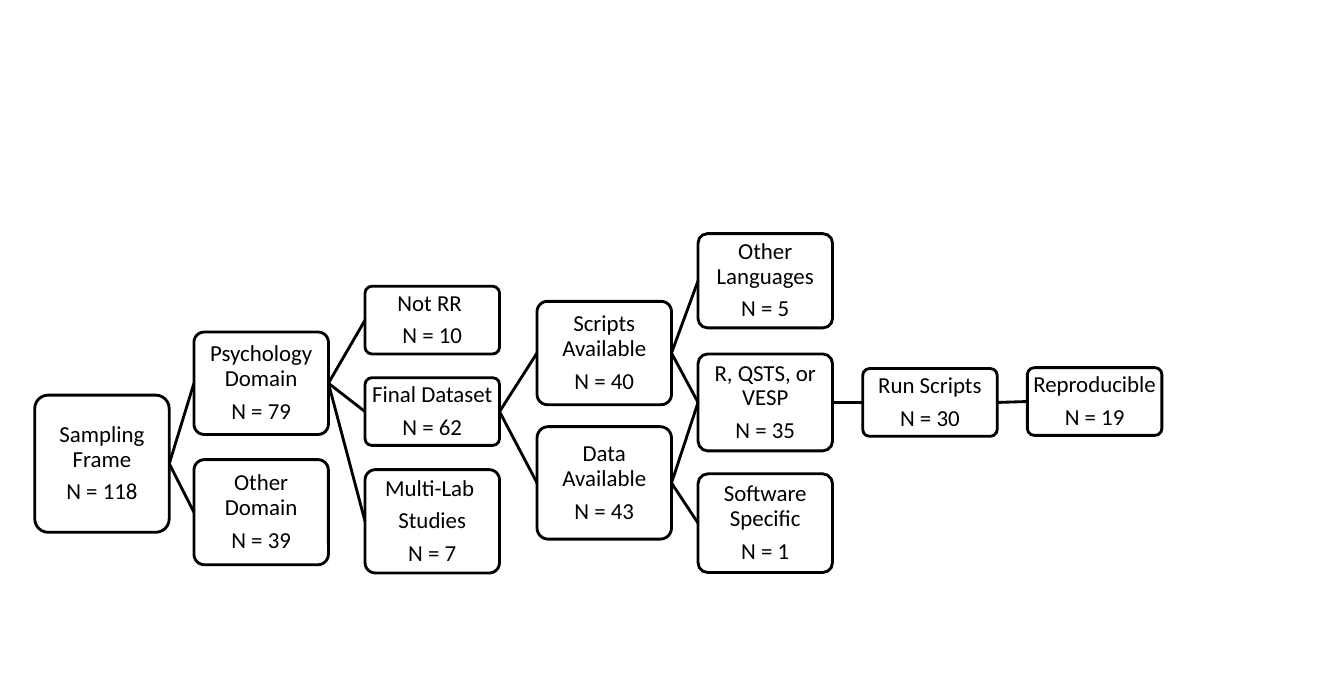
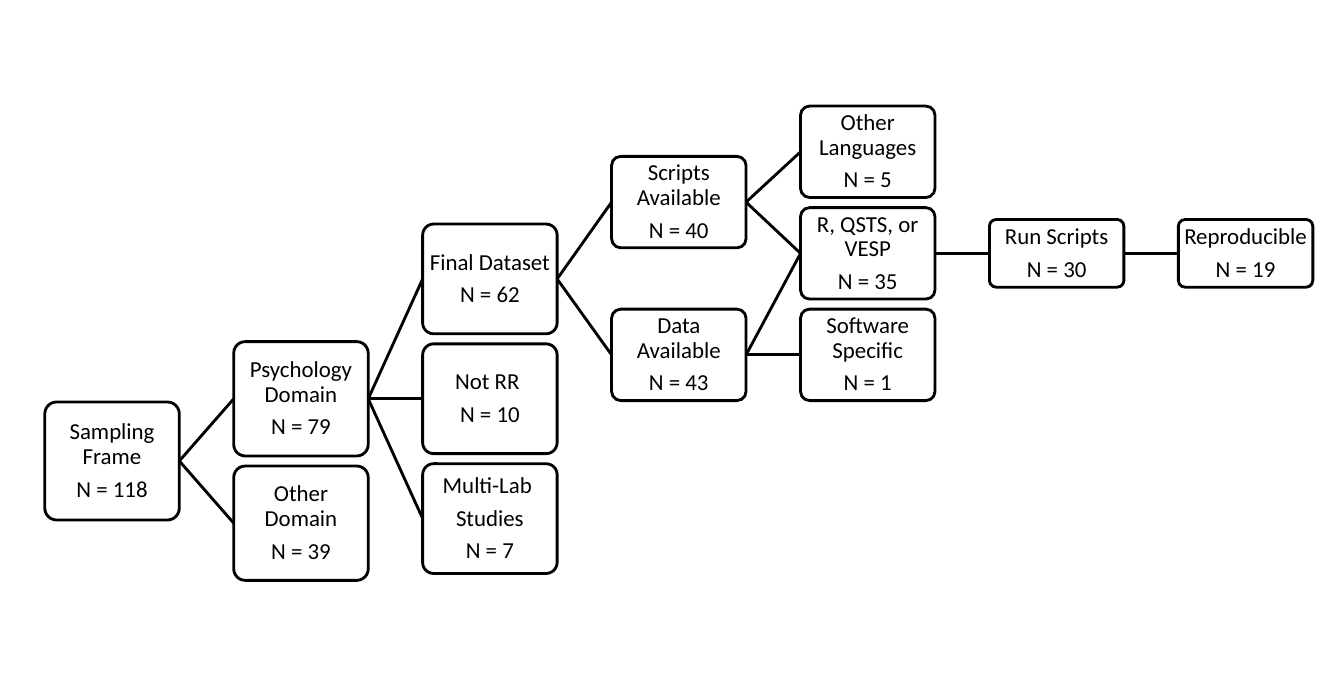
from lxml.etree import SubElement
from pptx import Presentation
from pptx.dml.color import RGBColor
from pptx.enum.shapes import MSO_CONNECTOR, MSO_SHAPE
from pptx.enum.text import MSO_ANCHOR, PP_ALIGN
from pptx.oxml.ns import qn
from pptx.util import Inches, Pt

BLACK = RGBColor(0x00, 0x00, 0x00)
WHITE = RGBColor(0xFF, 0xFF, 0xFF)
LEFT_SITE, RIGHT_SITE = 1, 3

# Wording of each box, one string per paragraph
LABELS = {
    "frame": ("Sampling Frame", "N = 118"),
    "psychology": ("Psychology Domain", "N = 79"),
    "other domain": ("Other Domain", "N = 39"),
    "not rr": ("Not RR ", "N = 10"),
    "final": ("Final Dataset", "N = 62"),
    "multi-lab": ("Multi-Lab ", "Studies", "N = 7"),
    "scripts": ("Scripts Available", "N = 40"),
    "data": ("Data Available", "N = 43"),
    "other languages": ("Other Languages", "N = 5"),
    "languages": ("R, QSTS, or VESP", "N = 35"),
    "specific": ("Software Specific", "N = 1"),
    "run": ("Run Scripts", "N = 30"),
    "reproducible": ("Reproducible", "N = 19"),
}

# Flow from left to right, the same on both slides
LINKS = {
    "frame": ("psychology", "other domain"),
    "psychology": ("not rr", "final", "multi-lab"),
    "final": ("scripts", "data"),
    "scripts": ("other languages", "languages"),
    "data": ("languages", "specific"),
    "languages": ("run",),
    "run": ("reproducible",),
}


class FlowDeck:
    font, size, line_width = "Calibri", Pt(18), Pt(2.25)
    box_width, inset = 1.47, Inches(0.01)

    def __init__(self, width, height):
        self.prs = Presentation()
        self.prs.slide_width, self.prs.slide_height = Inches(width), Inches(height)
        self.slide = None

    def box(self, paragraphs, left, middle, height):
        sp = self.slide.shapes.add_shape(
            MSO_SHAPE.ROUNDED_RECTANGLE, Inches(left), Inches(middle - height / 2),
            Inches(self.box_width), Inches(height))
        sp.adjustments[0] = 0.1
        sp.shadow.inherit = False
        sp.fill.solid()
        sp.fill.fore_color.rgb = WHITE
        sp.line.color.rgb = BLACK
        sp.line.width = self.line_width
        tf = sp.text_frame
        tf.word_wrap = True
        tf.vertical_anchor = MSO_ANCHOR.MIDDLE
        tf.margin_left = tf.margin_right = tf.margin_top = tf.margin_bottom = self.inset
        tf.text = "\n".join(paragraphs)
        for p in tf.paragraphs:
            p.alignment = PP_ALIGN.CENTER
            p.line_spacing = 0.9
            p.space_after = Pt(6.3)
            p.font.name, p.font.size = self.font, self.size
            p.font.color.rgb = BLACK
        return sp

    def link(self, source, target):
        line = self.slide.shapes.add_connector(MSO_CONNECTOR.STRAIGHT, 0, 0, 0, 0)
        line.begin_connect(source, RIGHT_SITE)
        line.end_connect(target, LEFT_SITE)
        line.line.color.rgb = BLACK
        line.line.width = self.line_width
        SubElement(line._element.spPr, qn("a:effectLst"))

    def flow(self, lefts, columns):
        """Draw columns of (name, middle, height) boxes, then link them."""
        self.slide = self.prs.slides.add_slide(self.prs.slide_layouts[6])
        boxes = {name: self.box(LABELS[name], left, middle, height)
                 for left, column in zip(lefts, columns)
                 for name, middle, height in column}
        for source, targets in LINKS.items():
            for target in targets:
                self.link(boxes[source], boxes[target])


def stack(names, first_middle, height, pitch=0):
    """Equal boxes, evenly spaced down one column."""
    return [(name, first_middle + i * pitch, height) for i, name in enumerate(names)]


deck = FlowDeck(14.69, 7.5)

# Slide 1: compact flow
deck.flow((0.38, 2.12, 3.99, 5.87, 7.63, 9.43, 11.23), [
    [("frame", 5.07, 1.5)],
    [("psychology", 4.19, 1.12), ("other domain", 5.6, 1.15)],
    [("not rr", 3.5, 0.74), ("final", 4.5, 0.74), ("multi-lab", 5.7, 1.13)],
    [("scripts", 3.86, 1.13), ("data", 5.28, 1.23)],
    [("other languages", 3.07, 1.03), ("languages", 4.4, 1.06), ("specific", 5.72, 1.08)],
    [("run", 4.4, 0.74)],
    [("reproducible", 4.39, 0.74)],
])

# Slide 2: rising flow on an even grid
FIRST_LEFT, LAST_LEFT, GAP = 0.49, 12.88, 0.11
COLUMN_PITCH = (LAST_LEFT - FIRST_LEFT) / 6
deck.flow([FIRST_LEFT + i * COLUMN_PITCH for i in range(7)], [
    stack(["frame"], 5.04, 1.29),
    stack(["psychology", "other domain"], 4.36, 1.25, 1.25 + GAP),
    stack(["final", "not rr", "multi-lab"], 3.05, 1.2, 1.2 + GAP),
    stack(["scripts", "data"], 2.21, 1, 1.67),
    stack(["other languages", "languages", "specific"], 1.66, 1, 1 + GAP),
    stack(["run"], 2.77, 0.74),
    stack(["reproducible"], 2.77, 0.74),
])

deck.prs.save("out.pptx")
